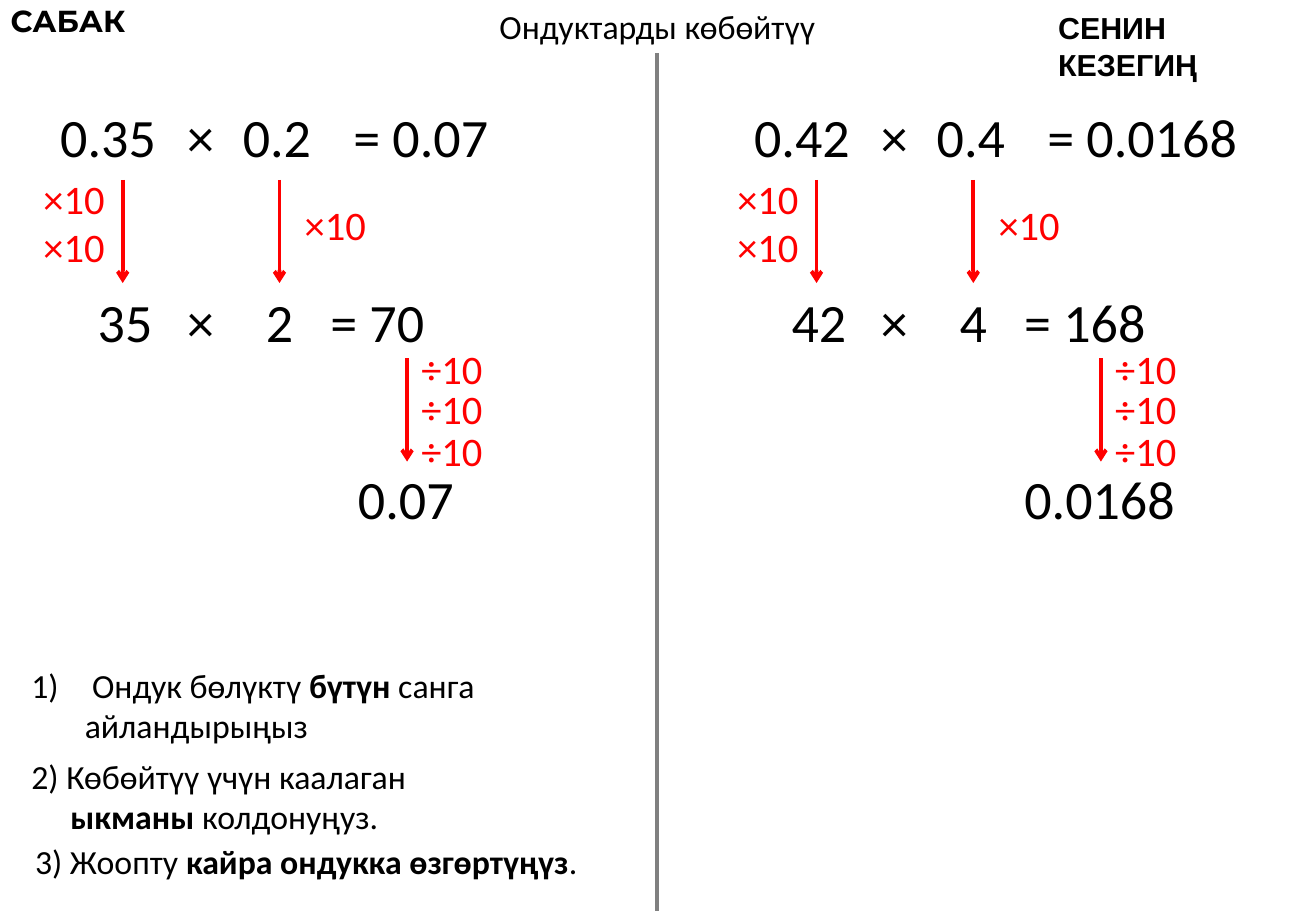
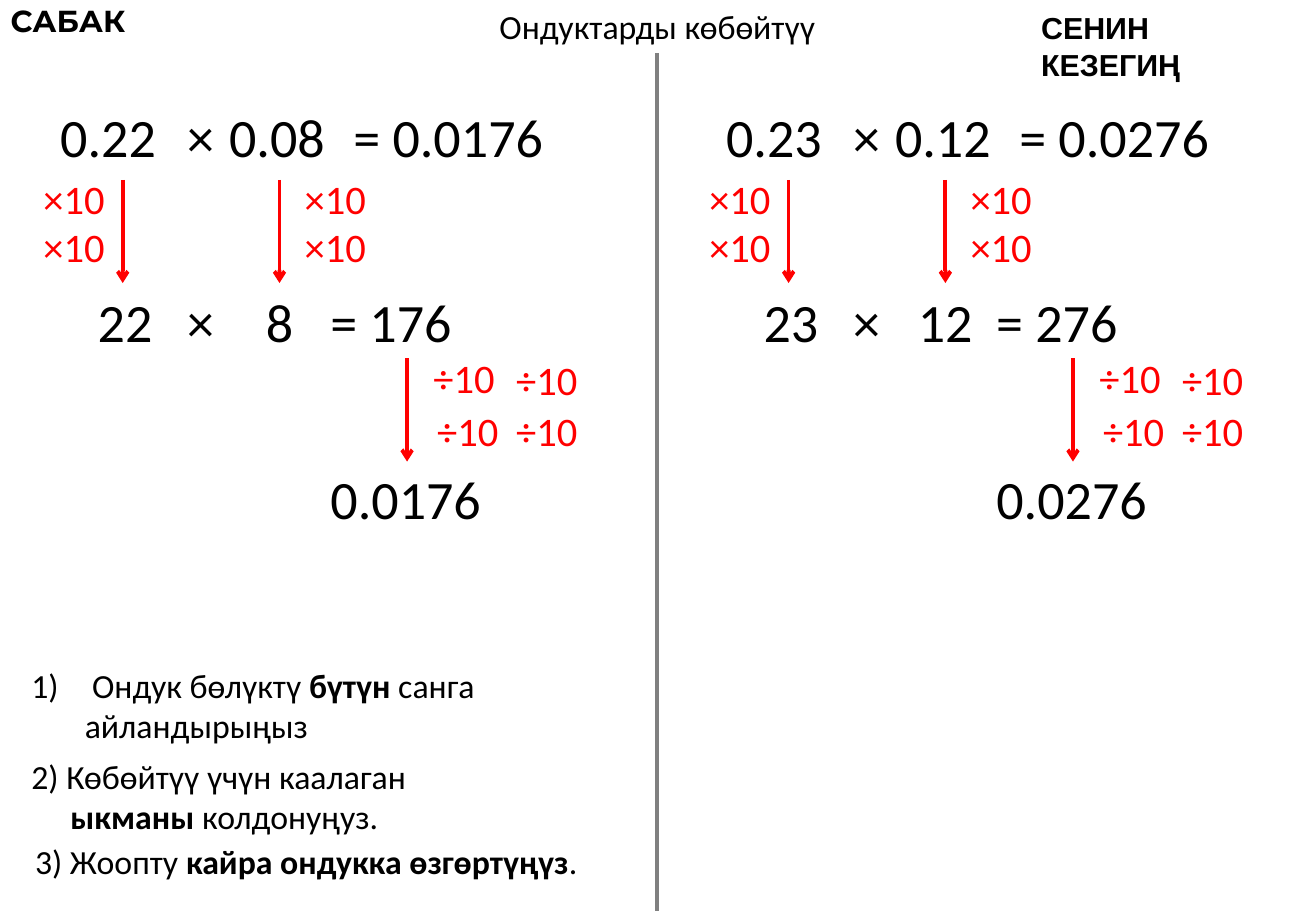
import pptx
import pptx.util
import pptx.dml.color
import pptx.enum.shapes
import pptx.enum.text
import pptx.oxml.ns
from lxml import etree

Inches = pptx.util.Inches
Pt = pptx.util.Pt
LEFT, CENTER, RIGHT = (
    pptx.enum.text.PP_ALIGN.LEFT,
    pptx.enum.text.PP_ALIGN.CENTER,
    pptx.enum.text.PP_ALIGN.RIGHT,
)

BLACK, RED, GRAY = "000000", "FF0000", "808080"
LESSON = "САБАК"
TOPIC = "Ондуктарды көбөйтүү"
YOUR_TURN = "СЕНИН КЕЗЕГИҢ"
STEPS = [
    ((0.16, 5.42, 3.93, 0.77), [
        (0.5, [("Ондук бөлүктү ", False), ("бүтүн", True), (" санга", False)]),
        (0.44, [("айландырыңыз", False)]),
    ]),
    ((0.16, 6.17, 3.38, 0.77), [
        (0, [("2) Көбөйтүү үчүн каалаган", False)]),
        (0.32, [("ыкманы", True), (" колдонуңуз.", False)]),
    ]),
    ((0.19, 6.87, 4.7, 0.44), [
        (0, [("3) Жоопту ", False), ("кайра ондукка өзгөртүңүз", True), (".", False)]),
    ]),
]
LESSONS = [
    {
        "turn_left": 8.61,
        "second_factor_tops": [1.6],
        "divisions": [(3.36, 2.78), (3.36, 3.11), (3.36, 3.46)],
        "problems": [
            (0, ("0.35", "0.2", "0.07"), ("35", "2", "70")),
            (5.71, ("0.42", "0.4", "0.0168"), ("42", "4", "168")),
        ],
    },
    {
        "turn_left": 8.47,
        "second_factor_tops": [1.38, 1.78],
        "divisions": [(3.46, 2.86), (3.49, 3.29), (4.14, 2.87), (4.14, 3.29)],
        "problems": [
            (0, ("0.22", "0.08", "0.0176"), ("22", "8", "176")),
            (5.48, ("0.23", "0.12", "0.0276"), ("23", "12", "276")),
        ],
    },
]
FIRST_TOPS = [1.38, 1.78]
ARROWS = [(1.01, 1.48), (2.3, 1.48), (3.35, 2.95)]
ARROW_LENGTH = 0.85
DECIMAL_TOP, WHOLE_TOP, ANSWER_TOP = 0.8, 2.33, 3.78
GLYPH_WIDTHS = {".": 0.11, " ": 0.1, "=": 0.22}


def color(value):
    return pptx.dml.color.RGBColor.from_string(value)


def style(font, size, name="Calibri", fill=BLACK, bold=None):
    font.size, font.name, font.bold = Pt(size), name, bold
    font.color.rgb = color(fill)


def add_frame(slide, box, wrap=False):
    frame = slide.shapes.add_textbox(*map(Inches, box)).text_frame
    frame.word_wrap = wrap
    frame.auto_size = pptx.enum.text.MSO_AUTO_SIZE.SHAPE_TO_FIT_TEXT
    return frame


def add_text(slide, box, text, size, align=LEFT, wrap=False, **look):
    paragraph = add_frame(slide, box, wrap).paragraphs[0]
    paragraph.text, paragraph.alignment = text, align
    style(paragraph.font, size, **look)


def add_number(slide, x, top, text, align):
    width = 0.21 + sum(GLYPH_WIDTHS.get(glyph, 0.225) for glyph in text)
    left = x - {LEFT: 0, CENTER: width / 2, RIGHT: width}[align]
    add_text(slide, (left, top, width, 0.64), text, 32, align)


def add_factor_of_ten(slide, left, top, text):
    add_text(slide, (left, top, 0.71, 0.5), text, 24, RIGHT, fill=RED)


def add_line(slide, x, top, bottom, stroke, arrow=False):
    line = slide.shapes.add_connector(
        pptx.enum.shapes.MSO_CONNECTOR.STRAIGHT,
        Inches(x), Inches(top), Inches(x), Inches(bottom))
    line.line.color.rgb = color(stroke)
    line.line.width = Pt(2.25)
    if arrow:
        etree.SubElement(line.line._get_or_add_ln(),
                         pptx.oxml.ns.qn("a:tailEnd"), type="arrow")
    etree.SubElement(line._element.spPr, pptx.oxml.ns.qn("a:effectLst"))


def add_steps(slide):
    for step, (box, lines) in enumerate(STEPS):
        frame = add_frame(slide, box)
        for row, (indent, runs) in enumerate(lines):
            paragraph = frame.paragraphs[0] if row == 0 else frame.add_paragraph()
            properties = paragraph._p.get_or_add_pPr()
            properties.set("marL", str(Inches(indent)))
            if step == row == 0:
                properties.set("indent", str(-Inches(indent)))
                etree.SubElement(properties, pptx.oxml.ns.qn("a:buAutoNum"),
                                 type="arabicParenR")
            style(paragraph.font, 20)
            for text, bold in runs:
                run = paragraph.add_run()
                run.text = text
                style(run.font, 20, bold=bold)


def add_problem(slide, lesson, dx, decimals, wholes):
    for top, (first, second, product), centers, equals in (
        (DECIMAL_TOP, decimals, (0.89, 2.28), 2.81),
        (WHOLE_TOP, wholes, (1.03, 2.3), 2.62),
    ):
        add_number(slide, dx + centers[0], top, first, CENTER)
        add_number(slide, dx + 1.86, top, "×", RIGHT)
        add_number(slide, dx + centers[1], top, second, CENTER)
        add_number(slide, dx + equals, top, "= " + product, LEFT)
    add_number(slide, dx + 3.34, ANSWER_TOP, decimals[2], CENTER)
    for x, top in ARROWS:
        add_line(slide, dx + x, top, top + ARROW_LENGTH, RED, arrow=True)
    for left, tops in ((0.25, FIRST_TOPS), (2.4, lesson["second_factor_tops"])):
        for top in tops:
            add_factor_of_ten(slide, dx + left, top, "×10")
    for left, top in lesson["divisions"]:
        add_factor_of_ten(slide, dx + left, top, "÷10")


def main():
    deck = pptx.Presentation()
    deck.slide_width, deck.slide_height = Inches(10.83), Inches(7.5)
    for lesson in LESSONS:
        slide = deck.slides.add_slide(deck.slide_layouts[6])
        add_line(slide, 5.41, 0.44, 7.5, GRAY)
        add_text(slide, (-0.01, -0.03, 1.17, 0.4), LESSON, 18,
                 name="Montserrat", bold=True)
        add_text(slide, (4, 0, 2.82, 0.44), TOPIC, 20, CENTER)
        add_text(slide, (lesson["turn_left"], 0.03, 2.2, 0.7), YOUR_TURN, 18,
                 wrap=True, name="Arial", bold=True)
        for problem in lesson["problems"]:
            add_problem(slide, lesson, *problem)
        add_steps(slide)
    deck.save("out.pptx")


if __name__ == "__main__":
    main()
